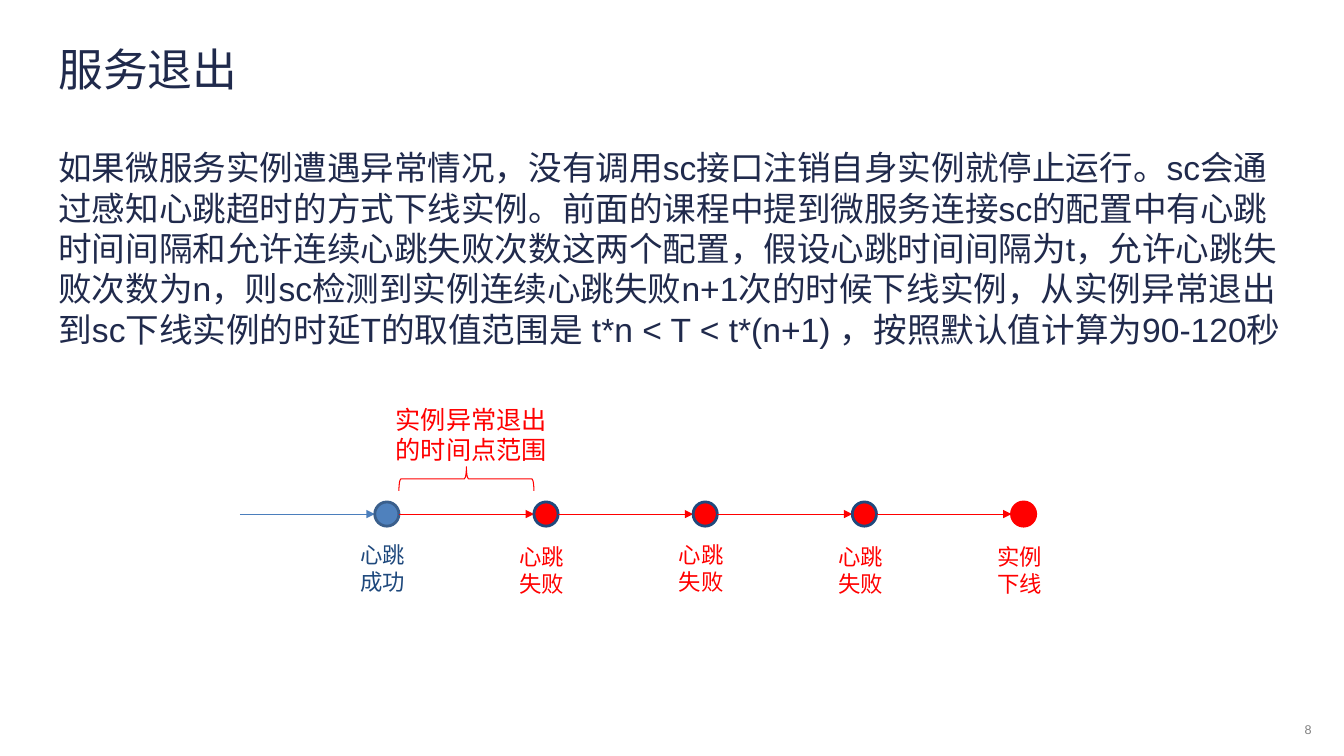
from pptx import Presentation
from pptx.dml.color import RGBColor
from pptx.enum.shapes import MSO_CONNECTOR as Connector, MSO_SHAPE as Preset
from pptx.enum.text import MSO_ANCHOR as Anchor
from pptx.oxml.ns import qn
from pptx.util import Pt
from lxml.etree import SubElement

PX = 9144
NAVY, BLUE, RED = "202A4C", "1F497D", "FF0000"

TITLE = "服务退出"
BODY = (
    "如果微服务实例遭遇异常情况，没有调用sc接口注销自身实例就停止运行。"
    "sc会通过感知心跳超时的方式下线实例。前面的课程中提到微服务连接sc的配置中有"
    "心跳时间间隔和允许连续心跳失败次数这两个配置，假设心跳时间间隔为t，"
    "允许心跳失败次数为n，则sc检测到实例连续心跳失败n+1次的时候下线实例，"
    "从实例异常退出到sc下线实例的时延T的取值范围是 t*n < T < t*(n+1) ，"
    "按照默认值计算为90-120秒"
)
TEXTS = [
    (TITLE, (45, 36, 1244, 64), 32, NAVY, (13, 7), Anchor.MIDDLE),
    (BODY, (45, 139, 1244, 550), 24, NAVY, (13, 7), Anchor.TOP),
    ("实例异常退出的时间点范围", (383, 396, 181, 71), 18, RED, (10, 5), Anchor.TOP),
    ("8", (1295, 716, 36, 25), 9, "808080", (0, 0), Anchor.TOP),
]
HEARTBEATS = [
    ("心跳成功", 532, BLUE, "4F81BD", "3A5F8C", "4B7EBC"),
    ("心跳失败", 534, RED, RED, BLUE, RED),
    ("心跳失败", 532, RED, RED, BLUE, RED),
    ("心跳失败", 534, RED, RED, BLUE, RED),
    ("实例下线", 534, RED, RED, RED, RED),
]
FIRST_X, STEP, AXIS_Y, DOT = 384, 158, 510, 24
GAP = STEP - DOT
LABEL_W, LABEL_H = 71, 64
BRACE_TOP = 463


def color(value):
    return RGBColor.from_string(value)


def emu(*lengths):
    return [length * PX for length in lengths]


def add_text(slide, text, box, size, text_color, insets, anchor):
    frame = slide.shapes.add_textbox(*emu(*box)).text_frame
    across, down = emu(*insets)
    settings = {
        "word_wrap": True,
        "vertical_anchor": anchor,
        "margin_left": across,
        "margin_right": across,
        "margin_top": down,
        "margin_bottom": down,
    }
    for name, value in settings.items():
        setattr(frame, name, value)
    run = frame.paragraphs[0].add_run()
    run.text = text
    for name, value in {"name": "Arial", "size": Pt(size)}.items():
        setattr(run.font, name, value)
    run.font.color.rgb = color(text_color)
    properties = run.font._element
    SubElement(properties, qn("a:ea"), typeface="Arial")


def set_line(shape, line_color, width):
    shape.line.color.rgb = color(line_color)
    shape.line.width = Pt(width)


def add_arrow(slide, start, end, y, line_color):
    arrow = slide.shapes.add_connector(Connector.STRAIGHT, *emu(start, y, end, y))
    set_line(arrow, line_color, 0.75)
    SubElement(arrow.line._get_or_add_ln(), qn("a:tailEnd"), type="triangle")
    SubElement(arrow._element.spPr, qn("a:effectLst"))


def add_dot(slide, center, fill, outline):
    corner = center - DOT // 2, AXIS_Y - DOT // 2
    dot = slide.shapes.add_shape(Preset.OVAL, *emu(*corner, DOT, DOT))
    dot.shadow.inherit = False
    dot.fill.solid()
    dot.fill.fore_color.rgb = color(fill)
    set_line(dot, outline, 2)


def add_brace(slide, center, top, span, depth):
    left = center - depth // 2
    unrotated_top = top + depth // 2 - span // 2
    brace = slide.shapes.add_shape(
        Preset.RIGHT_BRACE, *emu(left, unrotated_top, depth, span)
    )
    brace.rotation = 270
    brace.shadow.inherit = False
    brace.fill.background()
    set_line(brace, RED, 0.75)


def main():
    presentation = Presentation()
    presentation.slide_width, presentation.slide_height = emu(1334, 750)
    slide = presentation.slides.add_slide(presentation.slide_layouts[6])

    for entry in TEXTS:
        add_text(slide, *entry)

    for index, heartbeat in enumerate(HEARTBEATS):
        label, label_y, label_color, fill, outline, arrow_color = heartbeat
        center = FIRST_X + index * STEP
        dot_left = center - DOT // 2
        add_arrow(slide, dot_left - GAP, dot_left, AXIS_Y, arrow_color)
        add_dot(slide, center, fill, outline)
        label_box = center - LABEL_W // 2 - 1, label_y, LABEL_W, LABEL_H
        add_text(slide, label, label_box, 16, label_color, (10, 5), Anchor.TOP)

    add_brace(slide, FIRST_X + STEP // 2, BRACE_TOP, GAP, DOT)
    presentation.save("out.pptx")


if __name__ == "__main__":
    main()
